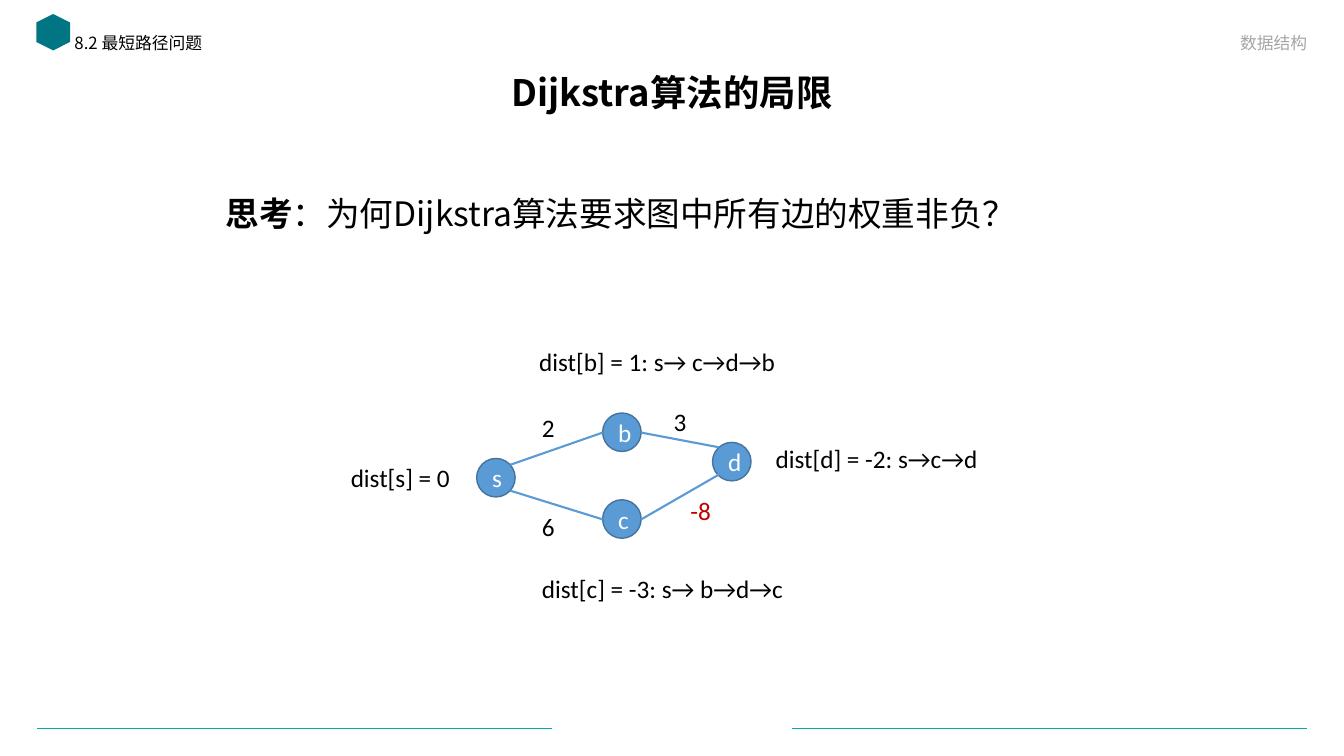
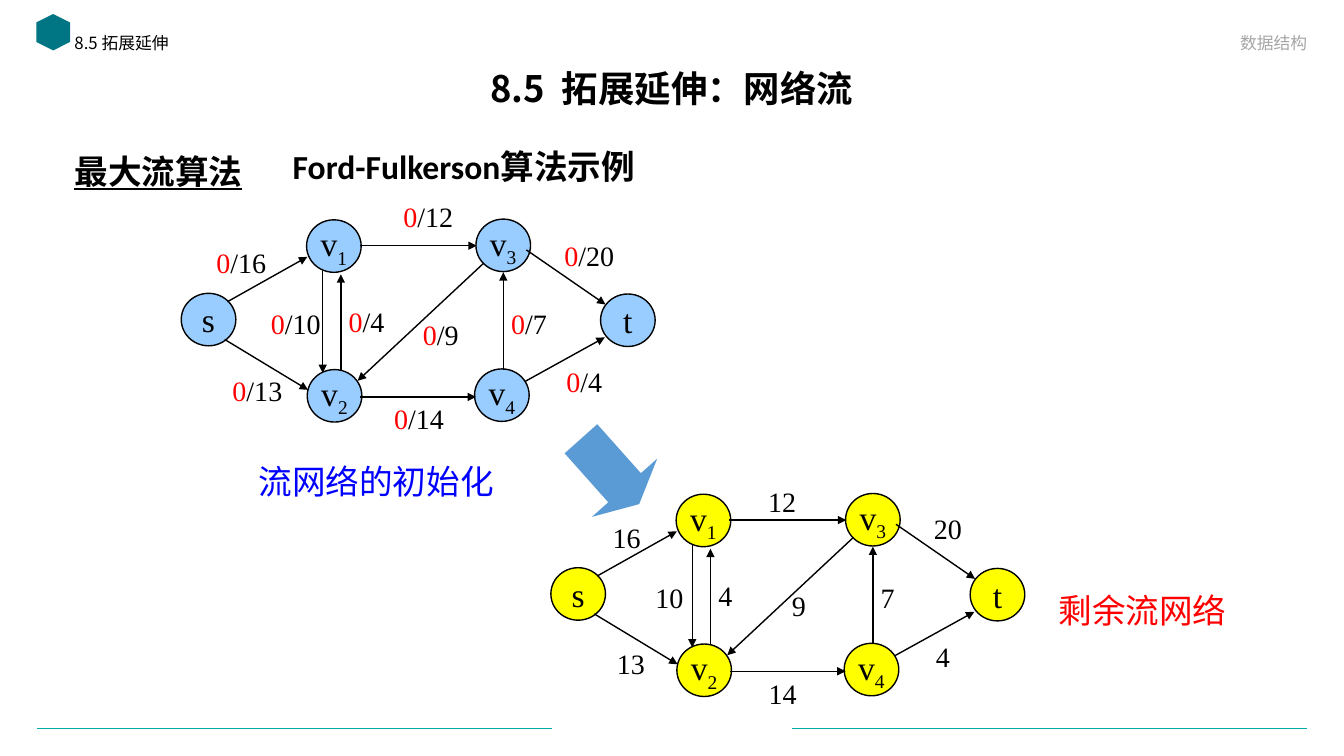
from dataclasses import dataclass
from typing import NamedTuple, Optional

from lxml import etree
from pptx import Presentation, util as u
from pptx.dml.color import RGBColor
from pptx.enum import shapes, text
from pptx.oxml import ns

Pt = u.Pt
ALIGN = text.PP_ALIGN
ANCHOR = text.MSO_ANCHOR


@dataclass(frozen=True)
class Theme:
    black: str = "000000"
    white: str = "FFFFFF"
    grey: str = "A6A6A6"
    teal: str = "00ABA5"
    dark_teal: str = "007684"
    blue: str = "5B9BD5"
    blue_outline: str = "43739E"
    warning: str = "C00000"
    red: str = "FF0000"
    caption_blue: str = "0000FF"
    flow_node: str = "99CCFF"
    residual_node: str = "FFFF00"
    cjk: str = "Noto Sans CJK SC"
    sans: str = "Calibri"
    serif: str = "Times New Roman"
    title: int = 26
    body: int = 24
    capacity: int = 20
    label: int = 18
    small: int = 12


T = Theme()


class Box(NamedTuple):
    left: float
    top: float
    width: float
    height: float


class Run(NamedTuple):
    text: str
    color: Optional[str] = None
    bold: Optional[bool] = None
    underline: bool = False
    subscript: bool = False


class Segment(NamedTuple):
    x1: float
    y1: float
    x2: float
    y2: float


class Node(NamedTuple):
    name: str
    left: float
    top: float
    index: str = ""


class Label(NamedTuple):
    text: str
    box: Box
    color: str = T.black


class Edge(NamedTuple):
    capacity: str
    segment: Segment
    flow_at: tuple[float, float]
    residual_at: tuple[float, float]


# Positions shared by all slides
SECTION_BOX = Box(46, 21.5, 383, 26)
COURSE_BOX = Box(535, 16.5, 406, 25)
FOOTER_RULES = [Segment(26.5, 520, 394.5, 520), Segment(565.5, 520, 933.5, 520)]
EMBLEM = Box(25, 11, 26, 24)

# Weighted graph with a negative edge
DIST_NODE = 27.5
DIST_NODES = [Node("s", 340.5, 327.5), Node("b", 430.5, 295),
              Node("c", 430.5, 357), Node("d", 509, 316)]
DIST_EDGES = [Segment(364.5, 332, 430.5, 309), Segment(364.5, 350.5, 430.5, 371),
              Segment(513.5, 319.5, 458, 309), Segment(458, 371, 513.5, 339)]
DIST_LABELS = [
    Label("2", Box(380, 291, 24, 29)),
    Label("3", Box(474, 286.5, 24, 29)),
    Label("6", Box(380, 361.5, 24, 29)),
    Label("-8", Box(486, 350.5, 29.5, 29), T.warning),
    Label("dist[s] = 0", Box(243.5, 327, 86, 29)),
    Label("dist[b] = 1: s→ c→d→b", Box(378, 243.5, 189, 29)),
    Label("dist[c] = -3: s→ b→d→c", Box(380, 406, 193, 29)),
    Label("dist[d] = -2: s→c→d", Box(547, 313, 163, 29)),
]

# Flow network; the residual network is the same graph, shifted
NODE_SIZE = (39, 37.5)
RESIDUAL_SHIFT = (264, 196)
FLOW_NODES = [Node("s", 129.5, 209.5), Node("t", 429, 210),
              Node("v", 219, 157, "1"), Node("v", 219.5, 264, "2"),
              Node("v", 340, 156.5, "3"), Node("v", 339, 263.5, "4")]
FLOW_EDGES = [
    Edge("16", Segment(162.5, 215.5, 219.5, 183.5), (147.5, 172), (430.5, 368)),
    Edge("13", Segment(160.5, 242.5, 220, 278.5), (159, 263), (433.5, 458.5)),
    Edge("10", Segment(230.5, 193.5, 230.5, 266.5), (186.5, 215.5), (461, 411)),
    Edge("4", Segment(243.5, 264, 243.5, 196), (242, 214), (506, 409.5)),
    Edge("12", Segment(257, 175.5, 340.5, 175.5), (281, 139), (541.5, 342.5)),
    Edge("9", Segment(345.5, 188, 255.5, 272), (295, 223), (558.5, 417)),
    Edge("7", Segment(359.5, 264, 359.5, 194.5), (358, 215.5), (622, 411)),
    Edge("14", Segment(257.5, 283.5, 340, 283.5), (274.5, 283), (542, 479.5)),
    Edge("20", Segment(376, 178.5, 432.5, 217.5), (396, 166.5), (660, 362)),
    Edge("4", Segment(375, 272.5, 432, 241), (397.5, 257), (661.5, 453)),
]


def rgb(color: str) -> RGBColor:
    return RGBColor.from_string(color)


def place(shape, box: Box) -> None:
    shape.left, shape.top, shape.width, shape.height = map(Pt, box)


def write(shape, *runs: Run, size: int, font: str = T.cjk, color: str = T.black,
          bold: bool = False, align=ALIGN.LEFT, anchor=ANCHOR.TOP, wrap: bool = True,
          spacing: float = 1.0, fit=text.MSO_AUTO_SIZE.NONE) -> None:
    """Fill a shape with one paragraph of formatted runs."""
    frame = shape.text_frame
    frame.word_wrap = wrap
    frame.auto_size = fit
    frame.vertical_anchor = anchor
    paragraph = frame.paragraphs[0]
    if shape.is_placeholder:
        properties = paragraph._p.get_or_add_pPr()
        properties.set("marL", "0")
        properties.set("indent", "0")
        etree.SubElement(properties, ns.qn("a:buNone"))
    paragraph.alignment = align
    paragraph.line_spacing = spacing
    paragraph.space_before = Pt(0)
    for part in runs:
        run = paragraph.add_run()
        run.text = part.text
        run.font.size = Pt(size)
        run.font.name = font
        run.font.bold = bold if part.bold is None else part.bold
        run.font.underline = part.underline
        run.font.color.rgb = rgb(part.color or color)
        properties = run._r.get_or_add_rPr()
        etree.SubElement(properties, ns.qn("a:ea")).set("typeface", T.cjk)
        if part.subscript:
            properties.set("baseline", "-25000")


def add_text(slide, box: Box, *runs: Run, wrap: bool = False, **style) -> None:
    area = slide.shapes.add_textbox(*map(Pt, box))
    write(area, *runs, wrap=wrap, fit=text.MSO_AUTO_SIZE.SHAPE_TO_FIT_TEXT, **style)


def add_figure(slide, kind, box: Box, fill: str, outline: Optional[str] = None,
               rotation: float = 0):
    figure = slide.shapes.add_shape(kind, *map(Pt, box))
    figure.shadow.inherit = False
    figure.rotation = rotation
    figure.fill.solid()
    figure.fill.fore_color.rgb = rgb(fill)
    if outline:
        figure.line.color.rgb = rgb(outline)
        figure.line.width = Pt(1)
    else:
        figure.line.fill.background()
    return figure


def add_line(slide, segment: Segment, color: str, width: float, arrow: bool = False):
    line = slide.shapes.add_connector(shapes.MSO_CONNECTOR.STRAIGHT, *map(Pt, segment))
    line.line.color.rgb = rgb(color)
    line.line.width = Pt(width)
    properties = line.element.spPr
    if arrow:
        outline = properties.find(ns.qn("a:ln"))
        etree.SubElement(outline, ns.qn("a:tailEnd")).set("type", "triangle")
    etree.SubElement(properties, ns.qn("a:effectLst"))
    return line


def furnish_layout(slide) -> None:
    """Draw the footer rules and the emblem, then move them to the layout."""
    furniture = [add_line(slide, rule, T.teal, 0.5) for rule in FOOTER_RULES]
    furniture.append(add_figure(slide, shapes.MSO_SHAPE.HEXAGON, EMBLEM,
                                T.dark_teal, rotation=90))
    for number, item in enumerate(furniture, start=100):
        item.element.xpath(".//p:cNvPr")[0].set("id", str(number))
        slide.slide_layout.shapes.element.append(item.element)


def add_slide(deck, section: str, title: str, title_top: float, topic: str = ""):
    slide = deck.slides.add_slide(deck.slide_layouts[4])
    heading, section_label, topic_line, course_label = (
        slide.placeholders[index] for index in range(4))
    place(heading, Box(66, title_top, 828, 41))
    write(heading, Run(title), size=T.title, bold=True, align=ALIGN.CENTER,
          anchor=ANCHOR.MIDDLE, spacing=0.9)
    place(section_label, SECTION_BOX)
    write(section_label, Run(section), size=T.small, spacing=0.9)
    place(course_label, COURSE_BOX)
    write(course_label, Run("数据结构"), size=T.small, color=T.grey,
          align=ALIGN.RIGHT, anchor=ANCHOR.BOTTOM)
    if topic:
        place(topic_line, Box(46, 101, 867, 61))
        write(topic_line, Run(topic, underline=True), size=T.body, bold=True,
              spacing=1.1)
    for holder in list(slide.placeholders):
        if not holder.text_frame.text:
            holder.element.getparent().remove(holder.element)
    return slide


def draw_network(slide, fill: str, residual: bool) -> None:
    dx, dy = RESIDUAL_SHIFT if residual else (0, 0)
    for node in FLOW_NODES:
        circle = add_figure(slide, shapes.MSO_SHAPE.OVAL,
                            Box(node.left + dx, node.top + dy, *NODE_SIZE), fill, T.black)
        name = [Run(node.name)]
        if node.index:
            name.append(Run(node.index, subscript=True))
        write(circle, *name, size=T.body, font=T.serif, align=ALIGN.CENTER,
              anchor=ANCHOR.MIDDLE, wrap=False)
    for edge in FLOW_EDGES:
        x1, y1, x2, y2 = edge.segment
        add_line(slide, Segment(x1 + dx, y1 + dy, x2 + dx, y2 + dy), T.black, 1, arrow=True)
    for edge in FLOW_EDGES:
        width = 14.5 + 10 * len(edge.capacity)
        if residual:
            at, runs = edge.residual_at, [Run(edge.capacity)]
        else:
            at, runs = edge.flow_at, [Run("0", T.red), Run("/" + edge.capacity)]
            width += 15.5
        add_text(slide, Box(*at, width, 31), *runs, size=T.capacity, font=T.serif)


def build_limits_slide(deck):
    slide = add_slide(deck, "8.2 最短路径问题", "Dijkstra算法的局限", 47)
    add_text(slide, Box(154, 134.5, 596, 36), Run("思考", bold=True),
             Run("：为何Dijkstra算法要求图中所有边的权重非负？"), size=T.body)
    for node in DIST_NODES:
        circle = add_figure(slide, shapes.MSO_SHAPE.OVAL,
                            Box(node.left, node.top, DIST_NODE, DIST_NODE),
                            T.blue, T.blue_outline)
        write(circle, Run(node.name), size=T.label, font=T.sans, color=T.white,
              align=ALIGN.CENTER, anchor=ANCHOR.MIDDLE)
    for edge in DIST_EDGES:
        add_line(slide, edge, T.blue, 1.5)
    for label in DIST_LABELS:
        add_text(slide, label.box, Run(label.text), size=T.label, font=T.sans,
                 color=label.color)
    return slide


def build_flow_slide(deck) -> None:
    slide = add_slide(deck, "8.5 拓展延伸", "8.5  拓展延伸：网络流", 44.5, "最大流算法")
    add_text(slide, Box(202, 100.5, 278, 36), Run("Ford-Fulkerson算法示例"),
             size=T.body, font=T.sans, bold=True, wrap=True)
    draw_network(slide, T.flow_node, residual=False)
    add_text(slide, Box(177.5, 325.5, 201, 36), Run("流网络的初始化"), size=T.body,
             font=T.sans, color=T.caption_blue, wrap=True)
    draw_network(slide, T.residual_node, residual=True)
    add_text(slide, Box(749, 417.5, 150, 36), Run("剩余流网络"), size=T.body,
             font=T.sans, color=T.red, wrap=True)
    step = add_figure(slide, shapes.MSO_SHAPE.RIGHT_ARROW, Box(404.5, 305.5, 62.5, 62.5),
                      T.blue, rotation=48.3)
    step.adjustments[0], step.adjustments[1] = 0.5, 0.25


def main() -> None:
    deck = Presentation()
    deck.slide_width, deck.slide_height = Pt(960), Pt(540)
    furnish_layout(build_limits_slide(deck))
    build_flow_slide(deck)
    deck.save("out.pptx")


if __name__ == "__main__":
    main()
